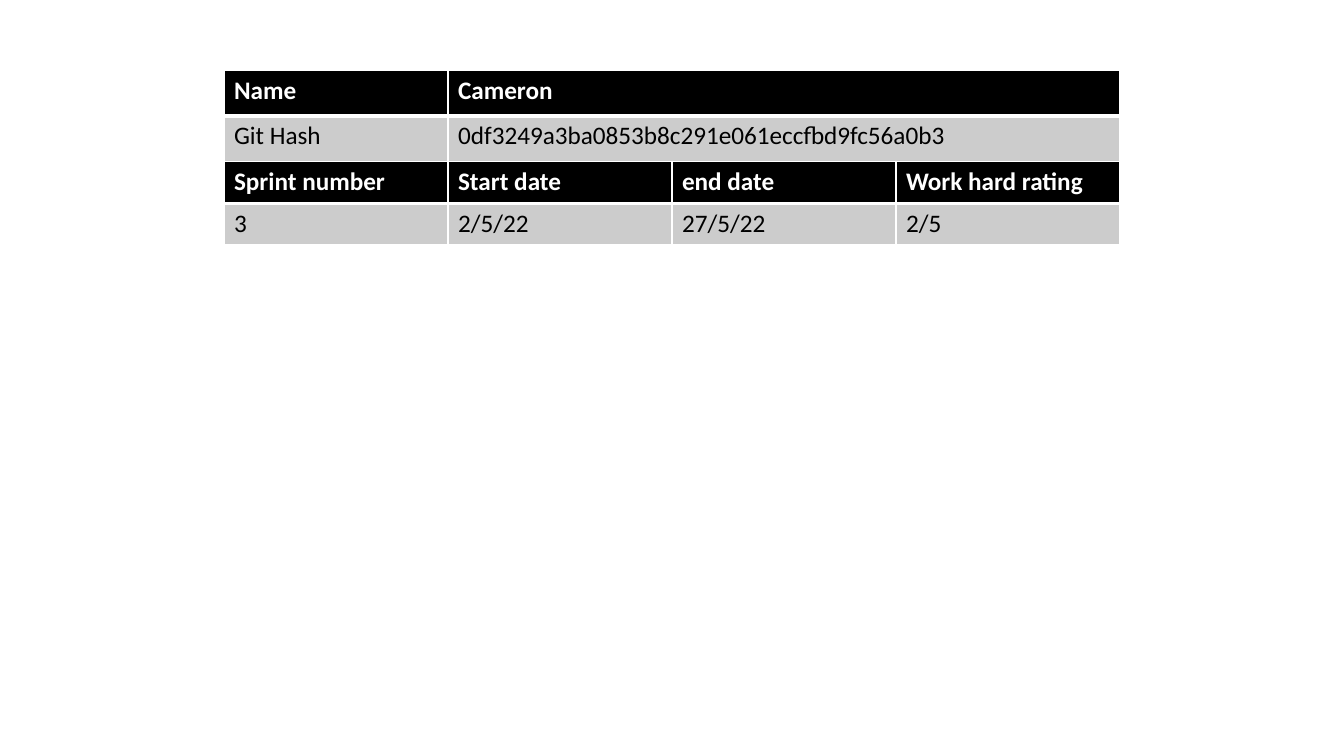
import pptx
import pptx.dml.color
import pptx.oxml
import pptx.oxml.ns
import pptx.util

THEME = {
    "font": "Calibri",
    "size": pptx.util.Pt(18),
    "header": {"fill": "000000", "text": "FFFFFF", "bold": True},
    "body": {"fill": "CCCCCC", "text": "000000", "bold": False},
    "rule": "FFFFFF",
    "thin": pptx.util.Pt(1),
    "thick": pptx.util.Pt(3),
}


def add_border(cell, side, width):
    """Draw one side (L, R, T or B) of a cell; call before the cell is filled."""
    cell._tc.get_or_add_tcPr().append(pptx.oxml.parse_xml(
        f'<a:ln{side} {pptx.oxml.ns.nsdecls("a")} w="{width}"><a:solidFill>'
        f'<a:srgbClr val="{THEME["rule"]}"/></a:solidFill></a:ln{side}>'))


deck = pptx.Presentation()
deck.slide_width = pptx.util.Inches(13.33)
deck.slide_height = pptx.util.Inches(7.5)
slide = deck.slides.add_slide(deck.slide_layouts[6])

# The tables share a grid of four columns, each a sixth of the slide wide.
column = deck.slide_width // 6

# Each section: top and row heights in inches, column spans, rows of text.
sections = [
    (0.7, (0.45, 0.45), (1, 3), [
        ("Name", "Cameron"),
        ("Git Hash", "0df3249a3ba0853b8c291e061eccfbd9fc56a0b3"),
    ]),
    (1.6, (0.42, 0.41), (1, 1, 1, 1), [
        ("Sprint number", "Start date", "end date", "Work hard rating"),
        ("3", "2/5/22", "27/5/22", "2/5"),
    ]),
]

for top, heights, spans, entries in sections:
    table = slide.shapes.add_table(
        len(entries), len(spans), column, pptx.util.Inches(top),
        column * sum(spans), pptx.util.Inches(sum(heights))).table
    for index, span in enumerate(spans):
        table.columns[index].width = column * span

    for row, (height, texts) in enumerate(zip(heights, entries)):
        table.rows[row].height = pptx.util.Inches(height)
        look = THEME["header" if row == 0 else "body"]
        thick_side = "B" if row == 0 else "T"
        for index, text in enumerate(texts):
            cell = table.cell(row, index)
            for side in "LRTB":
                add_border(cell, side, THEME["thick" if side == thick_side else "thin"])
            cell.fill.solid()
            cell.fill.fore_color.rgb = pptx.dml.color.RGBColor.from_string(look["fill"])
            cell.text = text
            font = cell.text_frame.paragraphs[0].font
            font.name = THEME["font"]
            font.size = THEME["size"]
            font.bold = look["bold"]
            font.color.rgb = pptx.dml.color.RGBColor.from_string(look["text"])

deck.save("out.pptx")
